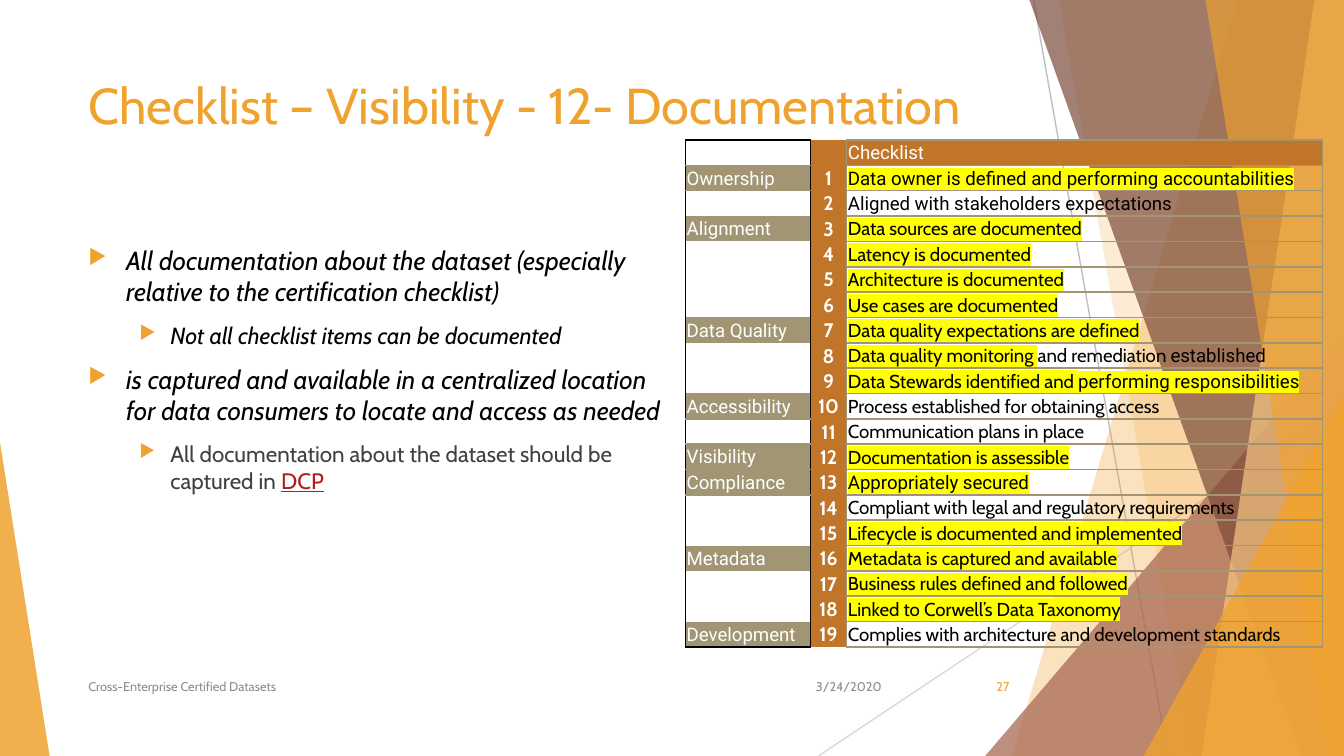
import pptx
import pptx.dml.color
import pptx.enum.shapes
import pptx.enum.text
import pptx.oxml
import pptx.oxml.ns
import pptx.util
from lxml import etree

Pt = pptx.util.Pt
qn = pptx.oxml.ns.qn
ALIGN = pptx.enum.text.PP_ALIGN
ANCHOR = pptx.enum.text.MSO_ANCHOR
TRIANGLE = pptx.enum.shapes.MSO_SHAPE.ISOSCELES_TRIANGLE
STRAIGHT = pptx.enum.shapes.MSO_CONNECTOR.STRAIGHT

WIDTH, HEIGHT = 720, 405
CABIN, ROBOTO = "Cabin", "Roboto"
ORANGE, RUST, TAN = "F0A22E", "C17529", "A19574"
BLACK, WHITE, YELLOW, GRAY = "000000", "FFFFFF", "FFFF00", "8C8C8C"

THIN_LINES = [(553.7, 0, 625.7, 405, "BFBFBF"), (720, 217.4, 438.5, 405, "D9D9D9")]
DECORATIONS = [
    ("band", (663, 542.2), ORANGE, 30),
    ("band", (567.4, 638.6), ORANGE, 20),
    ("triangle", (527.8, 180, 192.2, 225, 1), "A5644E", 72),
    ("band", (551.5, 697), "7C4B3B", 70),
    ("band", (704.2, 643.7), "F6C782", 70),
    ("band", (645.8, 711.4), ORANGE, 65),
    ("triangle", (612.7, 211.7, 107.3, 193.3, 1), ORANGE, 80),
    ("triangle", (0, 236.9, 26.6, 168.1, 0), ORANGE, 85),
]

TITLE = "Checklist – Visibility - 12- Documentation"
EMPHASIS = dict(color=BLACK, italic=True)
BODY = [
    (0, [("All documentation about the dataset (especially relative to the certification checklist)",
          dict(size=14, **EMPHASIS))]),
    (1, [("Not all checklist items can be documented", dict(size=12.5, **EMPHASIS))]),
    (0, [("is captured and available in a centralized location for data consumers to locate and access as needed",
          dict(size=14, **EMPHASIS))]),
    (1, [("All documentation about the dataset should be captured in ", dict(size=12, color="404040")),
         ("DCP", dict(size=12, color="AD1F1F", underline=True))]),
]
INDENTS = [(20.2, -20.2), (43.9, -16.6)]

SMALL_TEXTS = [
    ("27", 507.6, 40.3, ORANGE, ALIGN.RIGHT),
    ("3/24/2020", 425.5, 54, GRAY, ALIGN.RIGHT),
    ("Cross-Enterprise Certified Datasets", 40.3, 372.2, GRAY, ALIGN.LEFT),
]

HEADER = "Checklist"
CHECKLIST = [
    ("Ownership", [("Data owner is defined and performing accountabilities", YELLOW, ROBOTO)]),
    ("", [("Aligned with stakeholders expectations", None, ROBOTO)]),
    ("Alignment", [("Data sources are documented", YELLOW, CABIN)]),
    ("", [("Latency is documented", YELLOW, CABIN)]),
    ("", [("Architecture is documented", YELLOW, CABIN)]),
    ("", [("Use cases are documented", YELLOW, CABIN)]),
    ("Data Quality", [("Data quality expectations are defined", YELLOW, CABIN)]),
    ("", [("Data quality monitoring ", YELLOW, CABIN), ("and remediation ", None, CABIN),
          ("established", None, ROBOTO)]),
    ("", [("Data Stewards identified and ", YELLOW, CABIN),
          ("performing responsibilities", YELLOW, ROBOTO)]),
    ("Accessibility", [("Process established for obtaining access", None, CABIN)]),
    ("", [("Communication plans in place", None, CABIN)]),
    ("Visibility", [("Documentation is assessible", YELLOW, CABIN)]),
    ("Compliance", [("Appropriately secured", YELLOW, ROBOTO)]),
    ("", [("Compliant with legal and regulatory requirements", None, CABIN)]),
    ("", [("Lifecycle is documented and implemented", YELLOW, CABIN)]),
    ("Metadata", [("Metadata is captured and available", YELLOW, CABIN)]),
    ("", [("Business rules defined and followed", YELLOW, CABIN)]),
    ("", [("Linked to Corwell’s Data Taxonomy", YELLOW, CABIN)]),
    ("Development", [("Complies with architecture and development standards", None, CABIN)]),
]
COLUMN_WIDTHS = [67, 19.4, 254.9]
ROW_HEIGHT = 13.6
RULED_ROWS = {0, 10, 11, 12}
NO_GRID_STYLE = "{2D5ABB26-0587-4C30-8999-92F81FD0307C}"


def rgb(value):
    return pptx.dml.color.RGBColor.from_string(value)


def add_child(parent, tag, **attributes):
    return etree.SubElement(parent, qn(tag), attributes)


def write(paragraph, text, size=10, font=CABIN, color=BLACK, bold=False, italic=False,
          underline=False, highlight=None):
    run = paragraph.add_run()
    run.text = text
    run.font.size = Pt(size)
    run.font.bold, run.font.italic, run.font.underline = bold, italic, underline
    run.font.color.rgb = rgb(color)
    run.font.name = font
    if highlight:
        marker = pptx.oxml.parse_xml(
            '<a:highlight xmlns:a="http://schemas.openxmlformats.org/drawingml/2006/main">'
            f'<a:srgbClr val="{highlight}"/></a:highlight>')
        run.font._element.find(qn("a:solidFill")).addnext(marker)


def add_frame(slide, left, top, width, height, anchor=ANCHOR.TOP):
    frame = slide.shapes.add_textbox(Pt(left), Pt(top), Pt(width), Pt(height)).text_frame
    frame.word_wrap = True
    frame.vertical_anchor = anchor
    return frame


def add_decoration(slide, kind, geometry, color, opacity):
    if kind == "band":
        top_x, bottom_x = geometry
        builder = slide.shapes.build_freeform(Pt(top_x), 0)
        builder.add_line_segments(
            [(Pt(WIDTH), 0), (Pt(WIDTH), Pt(HEIGHT)), (Pt(bottom_x), Pt(HEIGHT))], close=True)
        shape = builder.convert_to_shape()
    else:
        *box, apex = geometry
        shape = slide.shapes.add_shape(TRIANGLE, *map(Pt, box))
        shape.adjustments[0] = apex
    shape.shadow.inherit = False
    shape.line.fill.background()
    shape.fill.solid()
    shape.fill.fore_color.rgb = rgb(color)
    add_child(next(shape.element.iter(qn("a:srgbClr"))), "a:alpha", val=str(opacity * 1000))


def add_bullet(paragraph, level):
    properties = paragraph._p.get_or_add_pPr()
    margin, indent = INDENTS[level]
    properties.set("marL", str(Pt(margin)))
    properties.set("indent", str(Pt(indent)))
    add_child(add_child(properties, "a:buClr"), "a:srgbClr", val=ORANGE)
    add_child(properties, "a:buSzPct", val="80000")
    add_child(properties, "a:buChar", char="▶")


def format_cell(cell, fill, borders):
    cell.margin_left = cell.margin_right = cell.margin_top = Pt(0.7)
    cell.margin_bottom = 0
    cell.vertical_anchor = ANCHOR.MIDDLE
    properties = cell._tc.get_or_add_tcPr()
    for side in "LRTB":
        if side in borders:
            line = add_child(properties, f"a:ln{side}", w=str(Pt(1)))
            add_child(add_child(line, "a:solidFill"), "a:srgbClr", val=borders[side])
    if fill:
        cell.fill.solid()
        cell.fill.fore_color.rgb = rgb(fill)
    else:
        cell.fill.background()


def label_borders(row, last_row):
    borders = {"L": BLACK, "R": BLACK}
    if row in RULED_ROWS - {12}:
        borders["B"] = TAN
    if row - 1 in RULED_ROWS:
        borders["T"] = TAN
    if row == 0:
        borders["T"] = BLACK
    if row == last_row:
        borders["B"] = BLACK
    return borders


def add_checklist(slide):
    rows = [("", [(HEADER, None, ROBOTO)])] + CHECKLIST
    frame = slide.shapes.add_table(len(rows), 3, Pt(367.2), Pt(75), Pt(sum(COLUMN_WIDTHS)),
                                   Pt(ROW_HEIGHT * len(rows)))
    table = frame.table
    table.first_row = table.horz_banding = False
    next(frame._element.iter(qn("a:tableStyleId"))).text = NO_GRID_STYLE
    for column, width in zip(table.columns, COLUMN_WIDTHS):
        column.width = Pt(width)
    for index, (label, parts) in enumerate(rows):
        table.rows[index].height = Pt(ROW_HEIGHT)
        label_cell, number_cell, item_cell = table.rows[index].cells
        blank_fill = WHITE if index in (0, 11) else None
        format_cell(label_cell, TAN if label else blank_fill, label_borders(index, len(rows) - 1))
        format_cell(number_cell, RUST, {})
        format_cell(item_cell, None if index else RUST, dict.fromkeys("LRTB", TAN))
        number_cell.text_frame.paragraphs[0].alignment = ALIGN.CENTER
        for cell, text, style in [
            (label_cell, label, dict(font=ROBOTO, color=WHITE)),
            (number_cell, str(index) if index else "", dict(size=10.5, color=WHITE, bold=True)),
        ]:
            paragraph = cell.text_frame.paragraphs[0]
            if text:
                write(paragraph, text, **style)
            else:
                add_child(paragraph._p, "a:endParaRPr", sz="1000")
        for text, highlight, font in parts:
            write(item_cell.text_frame.paragraphs[0], text, font=font, highlight=highlight,
                  color=BLACK if index else WHITE)


def main():
    presentation = pptx.Presentation()
    presentation.slide_width, presentation.slide_height = Pt(WIDTH), Pt(HEIGHT)
    slide = presentation.slides.add_slide(presentation.slide_layouts[6])
    for *ends, color in THIN_LINES:
        connector = slide.shapes.add_connector(STRAIGHT, *map(Pt, ends))
        connector.line.color.rgb = rgb(color)
        connector.line.width = Pt(0.75)
        add_child(connector._element.spPr, "a:effectLst")
    for decoration in DECORATIONS:
        add_decoration(slide, *decoration)
    title = add_frame(slide, 40.3, 36, 540, 77.8)
    write(title.paragraphs[0], TITLE, size=27, color=ORANGE)
    body = add_frame(slide, 40.3, 127.4, 327.6, 229)
    for index, (level, runs) in enumerate(BODY):
        paragraph = body.add_paragraph() if index else body.paragraphs[0]
        add_bullet(paragraph, level)
        paragraph.level = level
        if index:
            paragraph.space_before = Pt(7.5)
        for text, style in runs:
            write(paragraph, text, **style)
    add_checklist(slide)
    for text, left, width, color, alignment in SMALL_TEXTS:
        paragraph = add_frame(slide, left, 357.1, width, 21.6, ANCHOR.MIDDLE).paragraphs[0]
        paragraph.alignment = alignment
        write(paragraph, text, size=6.8, color=color)
    presentation.save("out.pptx")


if __name__ == "__main__":
    main()
